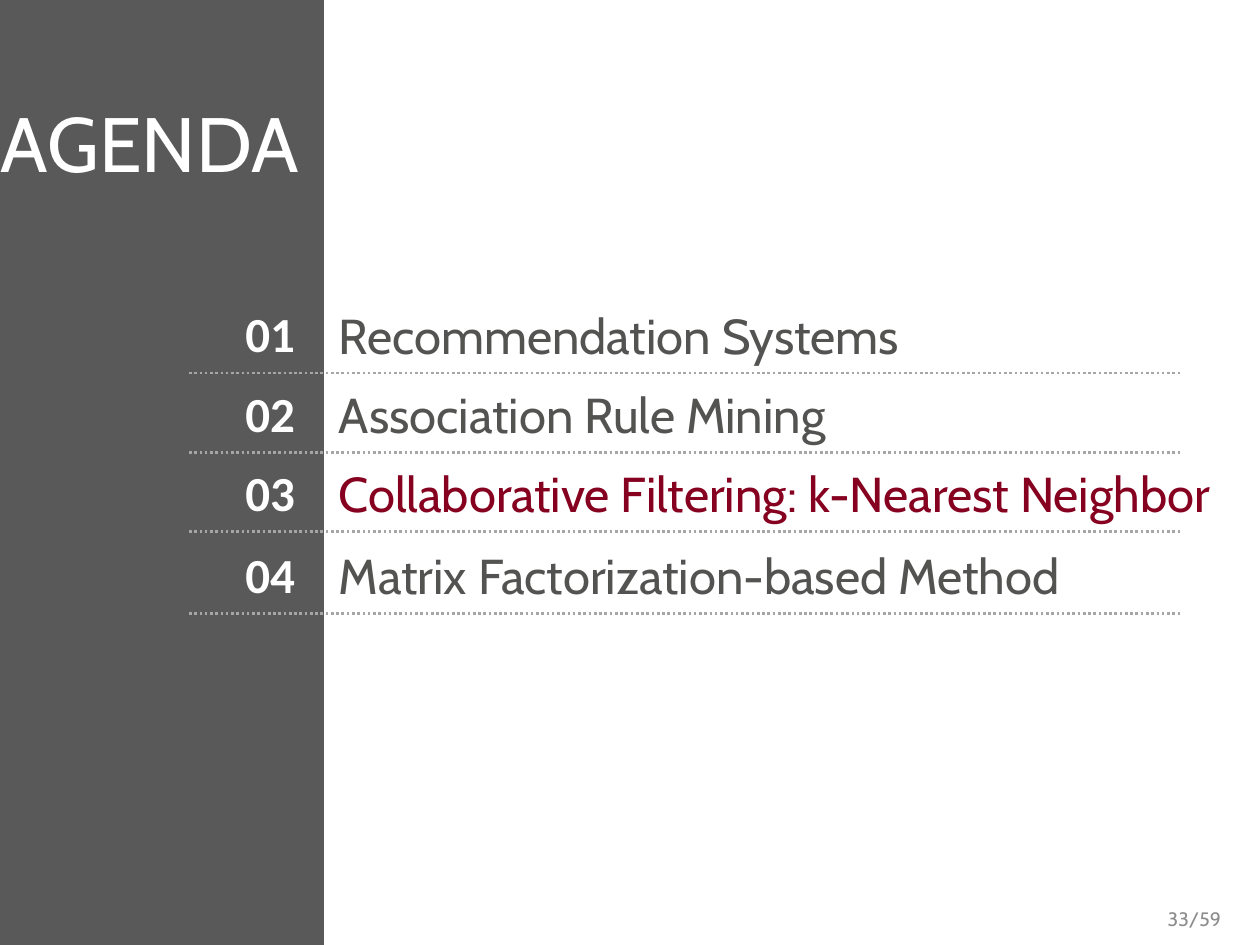
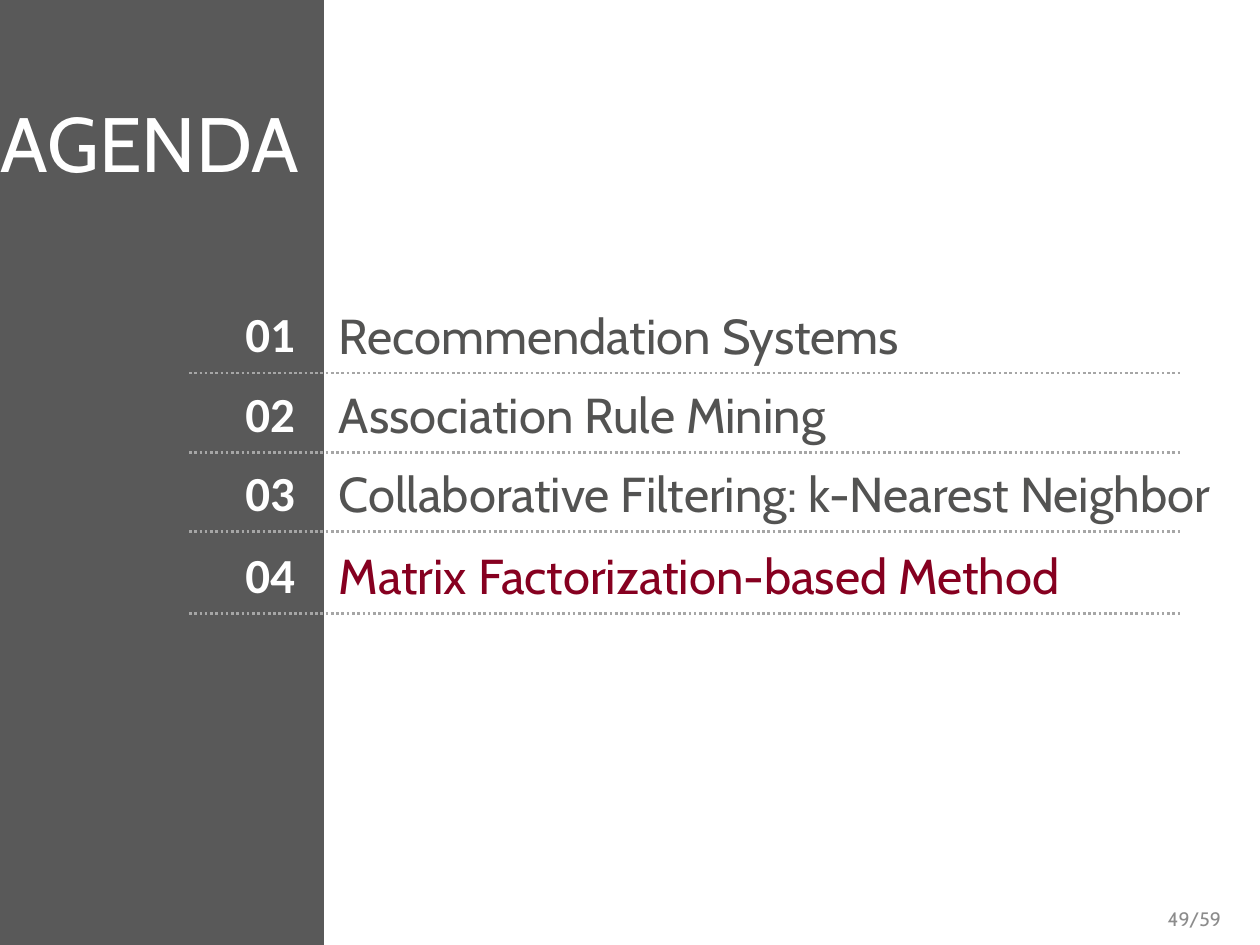
from dataclasses import dataclass

from lxml.etree import SubElement
from pptx import Presentation
from pptx.dml.color import RGBColor
from pptx.enum.dml import MSO_LINE
from pptx.enum.shapes import MSO_CONNECTOR, MSO_SHAPE
from pptx.enum.text import MSO_ANCHOR, MSO_AUTO_SIZE, PP_ALIGN
from pptx.oxml.ns import qn
from pptx.util import Inches, Pt


@dataclass(frozen=True)
class Theme:
    """Colours, fonts and type sizes shared by the agenda slides."""
    band: RGBColor = RGBColor.from_string("595959")
    white: RGBColor = RGBColor.from_string("FFFFFF")
    topic: RGBColor = RGBColor.from_string("535352")
    current: RGBColor = RGBColor.from_string("860020")
    rule: RGBColor = RGBColor.from_string("A6A6A6")
    page: RGBColor = RGBColor.from_string("8C8C8C")
    text_font: str = "Cabin"
    number_font: str = "Calibri"
    title_size: float = 44
    topic_size: float = 28
    page_size: float = 11.1


THEME = Theme()
TOPICS = [
    "Recommendation Systems",
    "Association Rule Mining",
    "Collaborative Filtering: k-Nearest Neighbor",
    "Matrix Factorization-based Method",
]
RULE_HEIGHTS = [2.96, 3.59, 4.22, 4.87]
NUMBER_RISE = 0.6
TOPIC_RISE = 0.5
PAGE_TOTAL = 59
AGENDA_PAGES = [(33, 3), (49, 4)]


def set_all(target, values):
    """Set each named attribute of the target."""
    for name, value in values.items():
        setattr(target, name, value)


def place(shape, left, top, width, height):
    """Position a shape in inches."""
    set_all(shape, {"left": Inches(left), "top": Inches(top),
                    "width": Inches(width), "height": Inches(height)})


def write(shape, text, size, color, font=THEME.text_font, bold=False,
          align=PP_ALIGN.LEFT, frame=None):
    """Fill a shape with one formatted paragraph."""
    text_frame = shape.text_frame
    text_frame.text = text
    set_all(text_frame, {"word_wrap": True, "auto_size": MSO_AUTO_SIZE.NONE,
                         "vertical_anchor": MSO_ANCHOR.MIDDLE, **(frame or {})})
    paragraph = text_frame.paragraphs[0]
    paragraph.alignment = align
    set_all(paragraph.font, {"name": font, "size": Pt(size), "bold": bold})
    paragraph.font.color.rgb = color


def add_text(slide, box, text, size, color, **style):
    """Add a text box holding one paragraph."""
    write(slide.shapes.add_textbox(*map(Inches, box)), text, size, color, **style)


def add_band(slide):
    """Add the dark side band behind everything else."""
    band = slide.shapes.add_shape(
        MSO_SHAPE.RECTANGLE, Inches(-0.42), 0, Inches(2.99), Inches(7.5))
    band.shadow.inherit = False
    band.fill.solid()
    band.fill.fore_color.rgb = THEME.band
    band.line.fill.background()
    slide.shapes.title.element.addprevious(band.element)


def add_title(slide, title):
    """Write the slide title across the band."""
    place(slide.shapes.title, -0.29, 0.76, 2.96, 0.74)
    margins = dict.fromkeys(
        ["margin_left", "margin_top", "margin_right", "margin_bottom"], 0)
    write(slide.shapes.title, title, THEME.title_size, THEME.white,
          align=PP_ALIGN.CENTER,
          frame={"vertical_anchor": MSO_ANCHOR.TOP, **margins})


def add_rule(slide, height):
    """Add a dotted rule below a topic."""
    rule = slide.shapes.add_connector(
        MSO_CONNECTOR.STRAIGHT, Inches(1.5), Inches(height),
        Inches(9.38), Inches(height))
    rule.line.color.rgb = THEME.rule
    set_all(rule.line, {"width": Pt(1.5), "dash_style": MSO_LINE.ROUND_DOT})
    SubElement(rule.element.spPr, qn("a:effectLst"))


def add_topic(slide, number, topic, height, color):
    """Add one agenda row: number, topic and rule."""
    add_text(slide, (1.34, height - NUMBER_RISE, 1.1, 0.57), f"{number:02}",
             THEME.topic_size, THEME.white, font=THEME.number_font, bold=True,
             align=PP_ALIGN.RIGHT,
             frame={"auto_size": MSO_AUTO_SIZE.SHAPE_TO_FIT_TEXT})
    add_text(slide, (2.69, height - TOPIC_RISE, 7.11, 0.39), topic,
             THEME.topic_size, color, frame={"margin_left": 0})
    add_rule(slide, height)


def add_agenda_slide(deck, page, current):
    """Add an agenda slide with the current topic highlighted."""
    slide = deck.slides.add_slide(deck.slide_layouts[5])
    add_band(slide)
    add_title(slide, "AGENDA")
    for number, (topic, height) in enumerate(zip(TOPICS, RULE_HEIGHTS), start=1):
        color = THEME.current if number == current else THEME.topic
        add_topic(slide, number, topic, height, color)
    add_text(slide, (7.54, 7.14, 2.25, 0.3), f"{page}/{PAGE_TOTAL}",
             THEME.page_size, THEME.page, align=PP_ALIGN.RIGHT)


def main():
    """Build the agenda slides and save the deck."""
    deck = Presentation()
    set_all(deck, {"slide_width": Inches(10), "slide_height": Inches(7.5)})
    for page, current in AGENDA_PAGES:
        add_agenda_slide(deck, page, current)
    deck.save("out.pptx")


if __name__ == "__main__":
    main()
